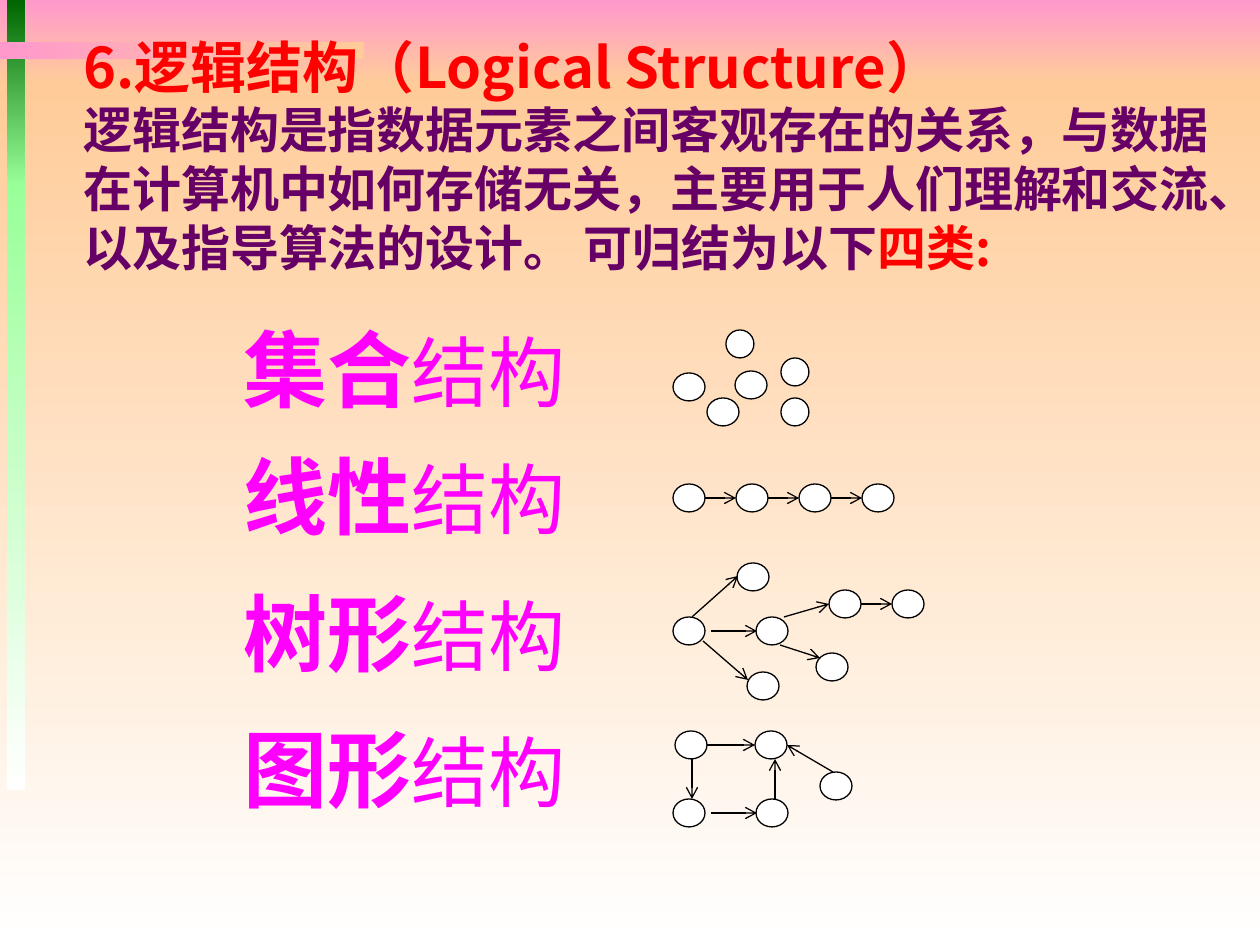
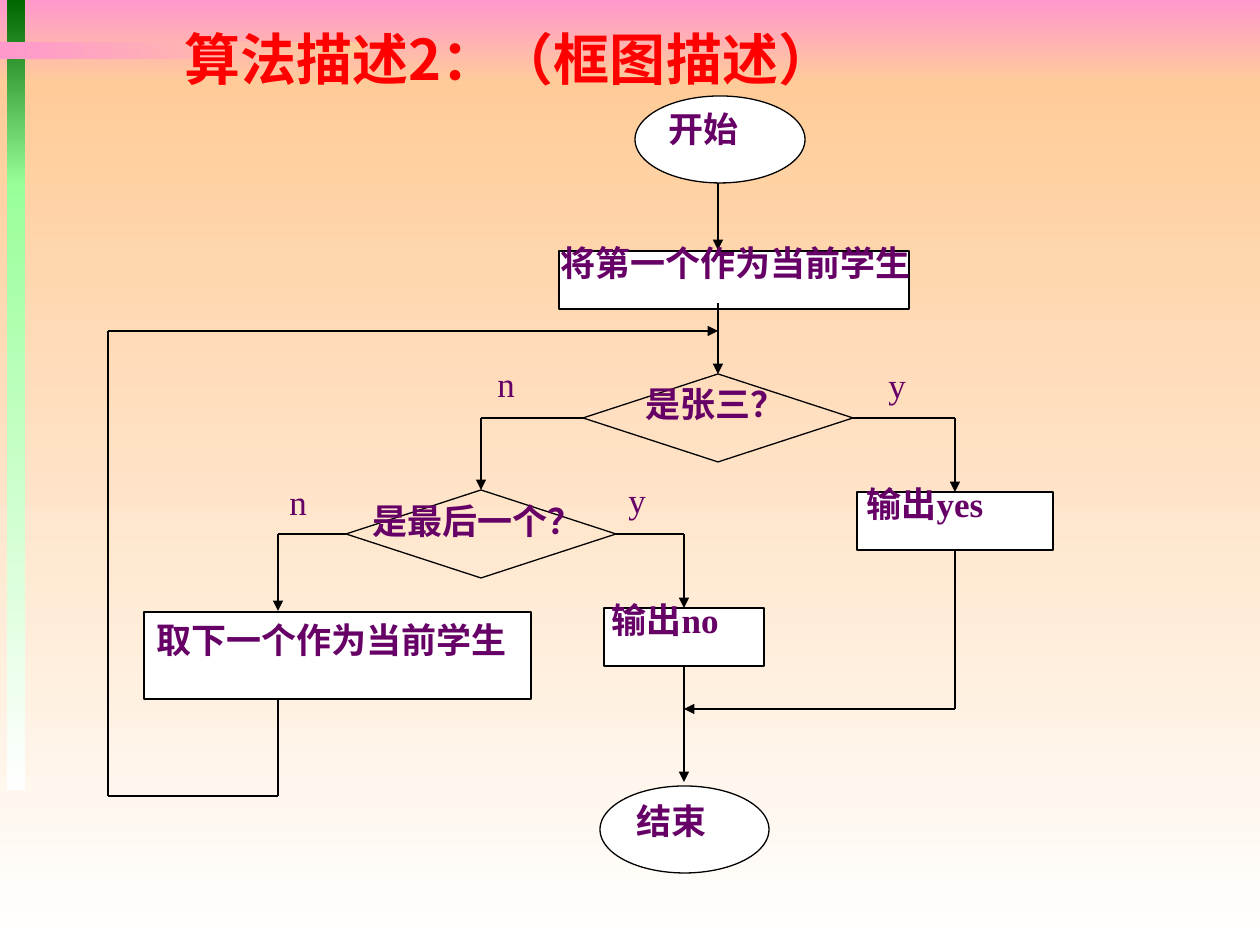
from lxml.etree import SubElement
from pptx import Presentation
from pptx.dml.color import RGBColor
from pptx.enum.shapes import MSO_CONNECTOR as Line, MSO_SHAPE as Shape
from pptx.enum.text import MSO_ANCHOR as Anchor, PP_ALIGN as Align
from pptx.oxml.ns import qn
from pptx.util import Pt

SCALE = 914400 / 126
CJK = "Noto Sans CJK SC"
SERIF = "Times New Roman"
RED, PURPLE, MAGENTA = "FF0000", "660066", "FF00FF"
PINK, PEACH, WHITE, BLACK = "FF99CC", "FFCC99", "FFFFFF", "000000"
DARK_GREEN, LIGHT_GREEN = "006600", "99FF99"
TITLE_ONLY, BLANK = 5, 6
TOP, LEFT, BOTTOM, RIGHT = range(4)


def px(*lengths):
    return [round(length * SCALE) for length in lengths]


def rgb(code):
    return RGBColor.from_string(code)


def add_run(paragraph, text, size=20, color=PURPLE, font=SERIF, bold=True):
    run = paragraph.add_run()
    run.text = text
    run.font.size = Pt(size)
    run.font.bold = bold
    run.font.color.rgb = rgb(color)
    run.font.name = font
    SubElement(run.font._element, qn("a:ea"), typeface=CJK)


class Deck:
    def __init__(self):
        self.show = Presentation()
        self.show.slide_width, self.show.slide_height = px(1260, 945)
        self.slide = None

    def start(self, layout):
        self.slide = self.show.slides.add_slide(self.show.slide_layouts[layout])

    def title(self, text, x, y, w, h):
        heading = self.slide.shapes.title
        heading.left, heading.top, heading.width, heading.height = px(x, y, w, h)
        heading.text_frame.vertical_anchor = Anchor.MIDDLE
        paragraph = heading.text_frame.paragraphs[0]
        paragraph.alignment = Align.LEFT
        add_run(paragraph, text, size=32, color=RED, font=CJK)

    def shape(self, kind, x, y, w, h, fill=WHITE):
        shape = self.slide.shapes.add_shape(kind, *px(x, y, w, h))
        shape.shadow.inherit = False
        if fill:
            shape.fill.solid()
            shape.fill.fore_color.rgb = rgb(fill)
        else:
            shape.fill.background()
        shape.line.color.rgb = rgb(BLACK)
        shape.line.width = Pt(0.75)
        return shape

    def master_band(self, order, x, y, w, h, colors, angle=270):
        band = self.shape(Shape.RECTANGLE, x, y, w, h)
        band.line.fill.background()
        band.fill.gradient()
        band.fill.gradient_angle = angle
        for stop, color in zip(band.fill.gradient_stops, colors):
            stop.color.rgb = rgb(color)
        band.element.nvSpPr.cNvPr.set("id", str(100 + order))
        self.show.slide_master.shapes.element.insert(2 + order, band.element)

    def fill_text(self, frame, paragraphs, align=Align.JUSTIFY, wrap=True):
        frame.word_wrap = wrap
        frame.vertical_anchor = Anchor.TOP
        for number, runs in enumerate(paragraphs):
            paragraph = frame.add_paragraph() if number else frame.paragraphs[0]
            paragraph.alignment = align
            for text, style in runs:
                add_run(paragraph, text, **style)

    def text(self, paragraphs, x, y, w, h, **layout):
        box = self.slide.shapes.add_textbox(*px(x, y, w, h))
        self.fill_text(box.text_frame, paragraphs, **layout)

    def line(self, start, end, arrow=None, begin=None, finish=None):
        link = self.slide.shapes.add_connector(Line.STRAIGHT, *px(*start, *end))
        if begin:
            link.begin_connect(*begin)
        if finish:
            link.end_connect(*finish)
        link.line.color.rgb = rgb(BLACK)
        link.line.width = Pt(0.75)
        properties = link.element.spPr
        if arrow:
            SubElement(properties.find(qn("a:ln")), qn("a:tailEnd"), type=arrow)
        SubElement(properties, qn("a:effectLst"))

    def network(self, nodes, edges=(), width=32):
        for x, y in nodes:
            self.shape(Shape.OVAL, x, y, width, 28)
        for start, end in edges:
            self.line(start, end, "arrow")


def add_master_bands(deck):
    bands = [
        (0, 0, 1260, 84, (PINK, PEACH)),
        (0, 84, 1260, 861, (PEACH, WHITE)),
        (7, 0, 18, 186, (DARK_GREEN, LIGHT_GREEN)),
        (7, 184, 18, 606, (LIGHT_GREEN, WHITE)),
        (0, 42, 364, 17, (PINK, PEACH), 0),
    ]
    for order, band in enumerate(bands):
        deck.master_band(order, *band)


def add_logical_structures(deck):
    intro = dict(size=28, font=CJK)
    deck.text([
        [("6.逻辑结构（Logical Structure）", dict(size=32, color=RED, font=CJK))],
        [("逻辑结构是指数据元素之间客观存在的关系，与数据在计算机中如何存储无关，"
          "主要用于人们理解和交流、以及指导算法的设计。 ", dict(size=28, font="Arial")),
         ("可归结为以下", intro),
         ("四类:", dict(intro, color=RED))],
    ], 71, 26, 1154, 257, align=Align.LEFT)

    for name, y in (("集合", 311), ("线性", 438), ("树形", 575), ("图形", 711)):
        deck.text([[
            (name, dict(size=48, color=MAGENTA, font=CJK)),
            ("结构", dict(size=44, color=MAGENTA, font=CJK, bold=False)),
        ]], 231, y, 347, 113, align=Align.LEFT, wrap=False)

    deck.network([(735, 371), (707, 398), (673, 373)])
    deck.network([(781, 398), (781, 358), (726, 330)], width=28)

    chain = [673 + 63 * step for step in range(4)]
    deck.network([(x, 484) for x in chain],
                 [((x + 32, 498), (x + 63, 498)) for x in chain[:-1]])

    tree_nodes = [(673, 617), (737, 563), (756, 617), (747, 672),
                  (829, 590), (816, 653), (892, 590)]
    tree_edges = [((711, 631), (757, 631)), ((692, 617), (738, 576)),
                  ((703, 641), (748, 680)), ((784, 617), (829, 604)),
                  ((780, 645), (820, 658)), ((861, 604), (892, 604))]
    deck.network(tree_nodes, tree_edges)

    graph_nodes = [(673, 799), (675, 731), (756, 799), (755, 731), (820, 772)]
    graph_edges = [((711, 813), (757, 813)), ((707, 745), (755, 745)),
                   ((692, 759), (692, 799)), ((775, 799), (775, 759)),
                   ((833, 772), (787, 745))]
    deck.network(graph_nodes, graph_edges)


def add_flowchart(deck):
    deck.title("算法描述2：（框图描述）", 172, 1, 883, 114)
    main_x, last_x, yes_x, no_x, next_x, loop_x = 718, 481, 955, 684, 278, 108
    match_y, last_y, merge_y, loop_y, back_y = 418, 534, 709, 331, 796

    deck.shape(Shape.OVAL, 635, 96, 170, 87)
    deck.shape(Shape.RECTANGLE, 559, 251, 350, 58)
    is_match = deck.shape(Shape.FLOWCHART_DECISION, main_x - 135, 374, 270, 88, None)
    is_last = deck.shape(Shape.FLOWCHART_DECISION, last_x - 135, 490, 270, 88, None)
    say_yes = deck.shape(Shape.RECTANGLE, yes_x - 98, 492, 196, 58)
    say_no = deck.shape(Shape.RECTANGLE, no_x - 80, 608, 160, 58)
    take_next = deck.shape(Shape.RECTANGLE, 144, 612, 387, 87)
    deck.shape(Shape.OVAL, 600, 786, 169, 87)

    tip = "triangle"
    deck.line((main_x, 183), (main_x, 250), tip)
    deck.line((main_x, 303), (main_x, 374), tip, finish=(is_match, TOP))
    deck.line((853, match_y), (yes_x, match_y), begin=(is_match, RIGHT))
    deck.line((yes_x, match_y), (yes_x, 492), tip, finish=(say_yes, TOP))
    deck.line((583, match_y), (last_x, match_y), begin=(is_match, LEFT))
    deck.line((last_x, match_y), (last_x, 490), tip, finish=(is_last, TOP))
    deck.line((616, last_y), (no_x, last_y), begin=(is_last, RIGHT))
    deck.line((no_x, last_y), (no_x, 608), tip, finish=(say_no, TOP))
    deck.line((346, last_y), (next_x, last_y), begin=(is_last, LEFT))
    deck.line((next_x, last_y), (next_x, 611), tip)
    deck.line((yes_x, 550), (yes_x, merge_y), begin=(say_yes, BOTTOM))
    deck.line((yes_x, merge_y), (no_x, merge_y), tip)
    deck.line((no_x, 666), (no_x, 782), tip, begin=(say_no, BOTTOM))
    deck.line((next_x, 699), (next_x, back_y))
    deck.line((next_x, back_y), (loop_x, back_y))
    deck.line((loop_x, back_y), (loop_x, loop_y))
    deck.line((loop_x, loop_y), (main_x, loop_y), tip)

    steps = [("开始", 656, 101, 136), ("将第一个作为当前学生", 548, 235, 389),
             ("是张三？", 633, 376, 203), ("是最后一个？", 360, 493, 256),
             ("输出yes", 854, 476, 207), ("输出no", 599, 592, 169),
             ("结束", 624, 793, 118)]
    for step, x, y, w in steps:
        deck.text([[(step, {})]], x, y, w, 87)
    deck.fill_text(take_next.text_frame, [[("取下一个作为当前学生", {})]])
    for answer, x, y in (("y", 876, 357), ("y", 616, 472), ("n", 485, 356), ("n", 277, 474)):
        deck.text([[(answer, dict(bold=False))]], x, y, 102, 87)


def main():
    deck = Deck()
    deck.start(BLANK)
    add_master_bands(deck)
    add_logical_structures(deck)
    deck.start(TITLE_ONLY)
    add_flowchart(deck)
    deck.show.save("out.pptx")


if __name__ == "__main__":
    main()
